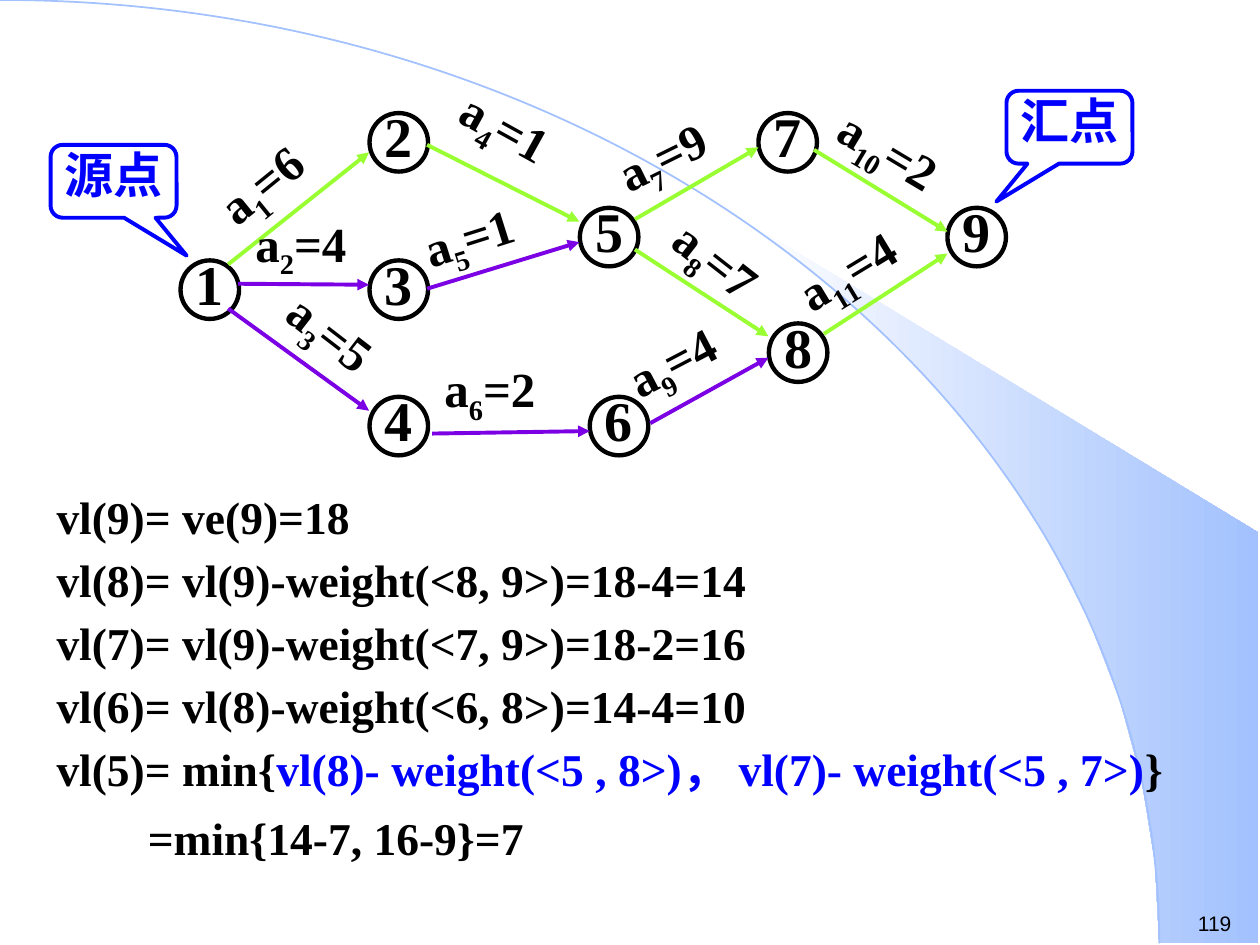
from math import cos, radians, sin

from lxml.etree import SubElement
from pptx import Presentation
from pptx.dml.color import RGBColor
from pptx.enum.shapes import MSO_CONNECTOR, MSO_SHAPE
from pptx.enum.text import MSO_ANCHOR as Anchor, PP_ALIGN as Align
from pptx.oxml.ns import qn
from pptx.util import Cm, Pt

BLACK = RGBColor(0, 0, 0)
WHITE = RGBColor(255, 255, 255)
BLUE = RGBColor(0, 0, 255)
SKY = RGBColor(0xA2, 0xC1, 0xFE)
GREEN = RGBColor(0x99, 0xFF, 0x33)
PURPLE = RGBColor(0x7B, 0x00, 0xE4)
SERIF = "Times New Roman"

# Background quarter ellipse: horizontal and vertical radius
ARC_WIDTH, ARC_HEIGHT = 23.37, 19.02

# Node number: centre x, centre y
NODES = {
    1: (4.23, 5.84), 2: (8.04, 2.87), 3: (8.04, 5.84),
    4: (8.04, 8.59), 5: (12.28, 4.78), 6: (12.48, 8.59),
    7: (15.88, 2.87), 8: (16.09, 7.11), 9: (19.69, 4.78),
}
# Weight, colour, arrow start and end, label corner, label rotation
EDGES = [
    (6, GREEN, (4.6, 5.33), (7.44, 3.07), (3.99, 2.57), -39.1),
    (4, PURPLE, (4.8, 5.72), (7.44, 5.74), (4.9, 4.17), 0),
    (5, PURPLE, (4.6, 6.22), (7.44, 8.28), (5.33, 6.35), 37.7),
    (1, GREEN, (8.61, 2.92), (11.68, 4.47), (8.92, 2.13), 28.9),
    (1, PURPLE, (8.61, 5.82), (11.68, 4.88), (8.28, 3.84), -17.6),
    (2, PURPLE, (8.71, 8.74), (11.89, 8.69), (8.71, 7.11), 0),
    (9, GREEN, (12.8, 4.42), (15.29, 2.97), (12.14, 2.13), -26.2),
    (7, GREEN, (12.8, 5.03), (15.49, 6.78), (13.11, 4.88), 38),
    (4, PURPLE, (13.11, 8.53), (15.49, 7.21), (12.34, 6.25), -27.6),
    (2, GREEN, (16.41, 3.02), (19.1, 4.67), (16.51, 2.54), 30.9),
    (4, GREEN, (16.61, 6.73), (19.1, 5.11), (15.75, 4.45), -31.2),
]
CALLOUTS = [("源点", 1.02, 2.92, 0.58), ("汇点", 20.29, 1.83, -0.58)]
FORMULAS = [
    "vl(9)= ve(9)=18",
    "vl(8)= vl(9)-weight(<8, 9>)=18-4=14",
    "vl(7)= vl(9)-weight(<7, 9>)=18-2=16",
    "vl(6)= vl(8)-weight(<6, 8>)=14-4=10",
]


def add_span(para, text, size=26, font=SERIF, color=BLACK, bold=True, baseline=0):
    span = para.add_run()
    span.text = text
    span.font.size = Pt(size)
    span.font.name = font
    span.font.bold = bold
    span.font.color.rgb = color
    if baseline:
        span._r.get_or_add_rPr().set("baseline", str(baseline * 1000))


class Diagram:
    def __init__(self, page, node_size=1.18, line=2.25):
        self.page = page
        self.node_size = node_size
        self.line = line

    def outline(self, shape, color, width):
        shape.shadow.inherit = False
        shape.fill.background()
        shape.line.color.rgb = color
        shape.line.width = Pt(width)

    def freeform(self, points, close):
        first, *others = [(Cm(x), Cm(y)) for x, y in points]
        builder = self.page.shapes.build_freeform(*first)
        builder.add_line_segments(others, close=close)
        shape = builder.convert_to_shape()
        self.outline(shape, SKY, 1)
        return shape

    def curve(self, start, control_1, control_2, end):
        shape = self.freeform([start, control_1, control_2, end], False)
        # Join the three segments into one cubic curve
        segments = list(shape._element.iter(qn("a:lnTo")))
        bezier = SubElement(segments[0].getparent(), qn("a:cubicBezTo"))
        for segment in segments:
            bezier.append(segment[0])
            segment.getparent().remove(segment)

    def fan(self, points):
        shape = self.freeform(points, True)
        shape.line.fill.background()
        shape.fill.gradient()
        shape.fill.gradient_angle = 0
        stops = shape.fill.gradient_stops
        for stop, color, position in zip(stops, (WHITE, SKY), (0, 1)):
            stop.color.rgb = color
            stop.position = position

    def textbox(self, left, top, width, height, rotation=0):
        box = self.page.shapes.add_textbox(Cm(left), Cm(top), Cm(width), Cm(height))
        box.rotation = rotation
        box.text_frame.word_wrap = True
        return box.text_frame

    def shape_with_text(self, kind, place, text, color, line, **style):
        shape = self.page.shapes.add_shape(kind, *map(Cm, place))
        self.outline(shape, color, line)
        frame = shape.text_frame
        frame.word_wrap = False
        frame.vertical_anchor = Anchor.MIDDLE
        frame.margin_left = frame.margin_right = frame.margin_top = 0
        frame.margin_bottom = Cm(0.28)
        para = frame.paragraphs[0]
        para.alignment = Align.CENTER
        add_span(para, text, color=color, **style)
        return shape

    def node(self, number, x, y):
        size = self.node_size
        place = (x - size / 2, y - size / 2, size, size)
        self.shape_with_text(MSO_SHAPE.OVAL, place, str(number), BLACK, 2.5, size=32)

    def callout(self, text, left, top, tip):
        shape = self.shape_with_text(MSO_SHAPE.ROUNDED_RECTANGULAR_CALLOUT,
                                     (left, top, 2.54, 1.47), text, BLUE,
                                     self.line, size=28)
        shape.adjustments[0] = tip
        shape.adjustments[1] = 1.02

    def arrow(self, start, end, color):
        arrow = self.page.shapes.add_connector(
            MSO_CONNECTOR.STRAIGHT, *map(Cm, start + end))
        arrow.line.color.rgb = color
        arrow.line.width = Pt(self.line)
        SubElement(arrow.line._get_or_add_ln(), qn("a:tailEnd"), type="triangle")
        SubElement(arrow._element.spPr, qn("a:effectLst"))

    def edge_label(self, number, weight, corner, rotation):
        para = self.textbox(*corner, 3.61, 1.6, rotation).paragraphs[0]
        add_span(para, "a", size=28)
        add_span(para, str(number), size=28, baseline=-25)
        add_span(para, f"={weight}", size=28)

    def formula(self, frame, *parts, first=False, indent=0, before=1.6):
        para = frame.paragraphs[0] if first else frame.add_paragraph()
        para.line_spacing = 1.1
        para.space_before = Pt(0 if first else before)
        if indent:
            para._p.get_or_add_pPr().set("marL", str(Cm(indent)))
        for text, color in parts:
            add_span(para, text, color=color)


def main():
    deck = Presentation()
    deck.slide_width, deck.slide_height = Cm(25.4), Cm(19.05)
    page = deck.slides.add_slide(deck.slide_layouts[6])
    diagram = Diagram(page)

    # Background: a fan that follows the lower part of a quarter ellipse
    edge = [(ARC_WIDTH * sin(radians(angle)), ARC_HEIGHT * (1 - cos(radians(angle))))
            for angle in range(40, 91, 5)]
    diagram.fan(edge + [(25.37, ARC_HEIGHT), (25.37, 10.74)])
    diagram.curve((0, 0), (ARC_WIDTH * 0.55, 0),
                  (ARC_WIDTH, ARC_HEIGHT * 0.45), (ARC_WIDTH, ARC_HEIGHT))

    # Slide number
    number = diagram.textbox(23.9, 18.24, 1.5, 0.76)
    add_span(number.paragraphs[0], "119", size=12, font="Arial", bold=False)

    # Latest event times
    frame = diagram.textbox(0.89, 9.63, 23.6, 7.98)
    for index, text in enumerate(FORMULAS):
        diagram.formula(frame, (text, BLACK), first=index == 0)
    diagram.formula(frame, ("vl(5)= min{", BLACK),
                    ("vl(8)- weight(<5 , 8>)， vl(7)- weight(<5 , 7>)", BLUE),
                    ("}", BLACK))
    diagram.formula(frame, ("=min{14-7, 16-9}=7", BLACK), indent=1.84, before=5.6)

    # Activity network
    for number, centre in NODES.items():
        diagram.node(number, *centre)
    for number, (weight, color, start, end, corner, rotation) in enumerate(EDGES, 1):
        diagram.arrow(start, end, color)
        diagram.edge_label(number, weight, corner, rotation)
    for callout in CALLOUTS:
        diagram.callout(*callout)

    deck.save("out.pptx")


if __name__ == "__main__":
    main()
